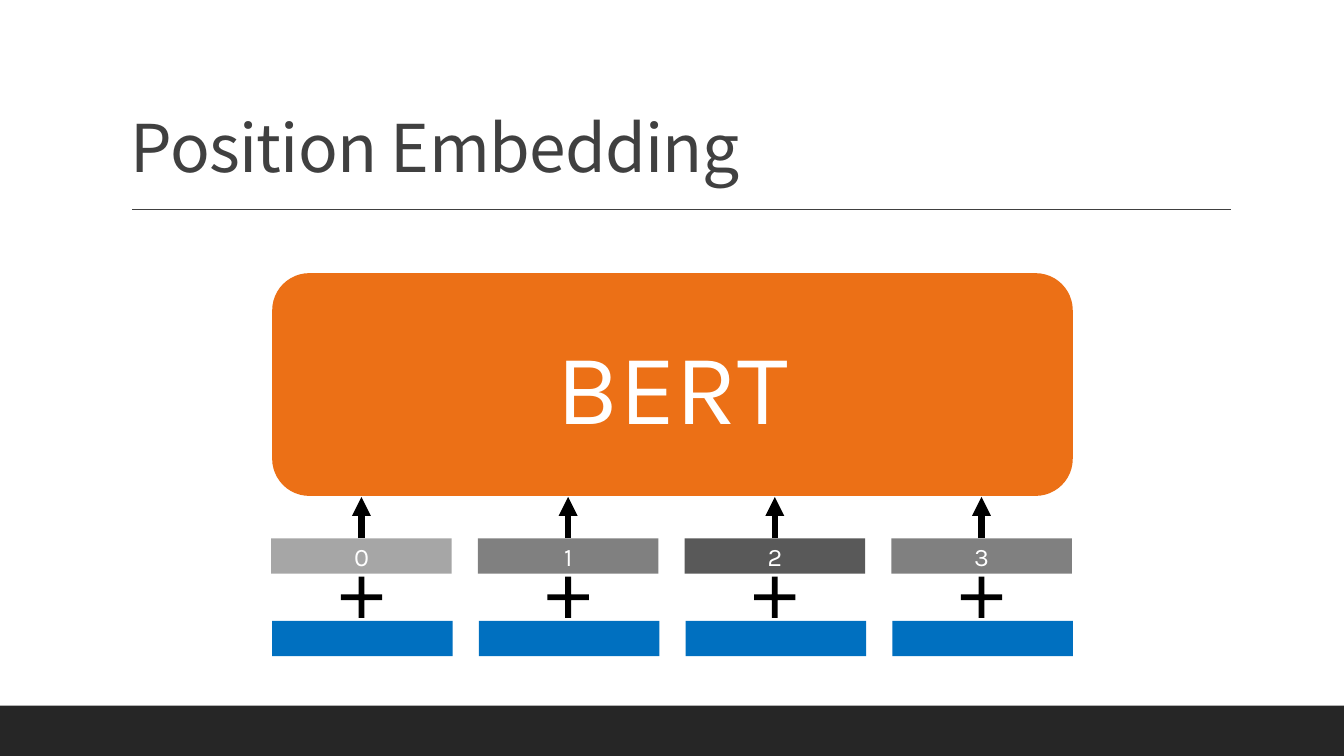
"""Build the Position Embedding slide."""
import dataclasses
import typing

import lxml.etree
import pptx
import pptx.dml.color
import pptx.enum.shapes
import pptx.enum.text
import pptx.oxml.ns
import pptx.util

Inches = pptx.util.Inches
SHAPES = pptx.enum.shapes.MSO_SHAPE
ANCHORS = pptx.enum.text.MSO_ANCHOR
ALIGNMENTS = pptx.enum.text.PP_ALIGN
TITLE_FONT = "Noto Sans CJK JP"
LABEL_FONT = "Karla"
WHITE, BLACK, TITLE_GRAY = "FFFFFF", "000000", "404040"
POSITION_FILLS = ("A6A6A6", "808080", "595959", "808080")
FIRST_LEFT, COLUMN_STEP = 2.69, 2.05
EMBEDDING_WIDTH, EMBEDDING_HEIGHT = 1.79, 0.35
POSITION_TOP, TOKEN_TOP = 5.34, 6.16
PLUS_SIZE, PLUS_TOP = 0.41, 5.72
ARROW_TIP = 4.93


@dataclasses.dataclass(frozen=True)
class Block:
    """A filled shape with an optional centred label."""
    left: float
    top: float
    width: float
    height: float
    fill: str
    kind: SHAPES = SHAPES.RECTANGLE
    label: str = ""
    size: float = 18
    adjustment: typing.Optional[float] = None


def color(value: str) -> pptx.dml.color.RGBColor:
    """Turn a hex string into a colour."""
    return pptx.dml.color.RGBColor.from_string(value)


def write_text(shape, text: str, frame_format: dict, paragraph_format: dict,
               font_format: dict, font_color: str):
    """Write one formatted paragraph and return its run."""
    frame = shape.text_frame
    paragraph = frame.paragraphs[0]
    run = paragraph.add_run()
    run.text = text
    for target, values in ((frame, frame_format), (paragraph, paragraph_format),
                           (run.font, font_format)):
        for name, value in values.items():
            setattr(target, name, value)
    run.font.color.rgb = color(font_color)
    return run


def draw_block(slide, block: Block):
    """Draw a block and return its shape."""
    shape = slide.shapes.add_shape(
        block.kind, Inches(block.left), Inches(block.top),
        Inches(block.width), Inches(block.height))
    shape.shadow.inherit = False
    shape.fill.solid()
    shape.fill.fore_color.rgb = color(block.fill)
    shape.line.fill.background()
    if block.adjustment is not None:
        shape.adjustments[0] = block.adjustment
    if block.label:
        write_text(shape, block.label,
                   {"vertical_anchor": ANCHORS.MIDDLE, "word_wrap": True},
                   {"alignment": ALIGNMENTS.CENTER},
                   {"name": LABEL_FONT, "size": pptx.util.Pt(block.size)}, WHITE)
    return shape


def draw_line(slide, start: tuple[float, float], end: tuple[float, float],
              line_color: str, width: float, arrow: bool = False):
    """Draw a straight line, optionally with an arrowhead at its end."""
    connector = slide.shapes.add_connector(
        pptx.enum.shapes.MSO_CONNECTOR.STRAIGHT,
        *(Inches(value) for value in start + end))
    connector.line.color.rgb = color(line_color)
    connector.line.width = pptx.util.Pt(width)
    if arrow:
        lxml.etree.SubElement(connector.line._get_or_add_ln(),
                              pptx.oxml.ns.qn("a:tailEnd"), type="triangle")
    lxml.etree.SubElement(connector._element.spPr, pptx.oxml.ns.qn("a:effectLst"))
    return connector


def draw_title(slide) -> None:
    """Draw the title above its rule."""
    title = slide.shapes.add_textbox(Inches(1.2), Inches(0.31), Inches(11), Inches(1.59))
    run = write_text(title, "Position Embedding",
                     {"vertical_anchor": ANCHORS.BOTTOM, "word_wrap": True},
                     {"line_spacing": 0.9},
                     {"name": TITLE_FONT, "size": pptx.util.Pt(47)}, TITLE_GRAY)
    properties = run.font._element
    properties.set("spc", "-50")
    lxml.etree.SubElement(properties, pptx.oxml.ns.qn("a:ea"), typeface=TITLE_FONT)
    draw_line(slide, (1.31, 2.08), (12.21, 2.08), TITLE_GRAY, 1)


def draw_column(slide, index: int, fill: str) -> None:
    """Draw one position embedding added to its token embedding."""
    left = FIRST_LEFT + index * COLUMN_STEP
    center = left + EMBEDDING_WIDTH / 2
    position = draw_block(slide, Block(left, POSITION_TOP, EMBEDDING_WIDTH,
                                       EMBEDDING_HEIGHT, fill, label=str(index)))
    draw_block(slide, Block(left + 0.01, TOKEN_TOP, EMBEDDING_WIDTH,
                            EMBEDDING_HEIGHT, "0070C0"))
    draw_block(slide, Block(center - PLUS_SIZE / 2, PLUS_TOP, PLUS_SIZE, PLUS_SIZE,
                            BLACK, SHAPES.CROSS, adjustment=0.43))
    arrow = draw_line(slide, (center, POSITION_TOP), (center, ARROW_TIP),
                      BLACK, 4.5, arrow=True)
    arrow.begin_connect(position, 0)


def main() -> None:
    """Build and save the presentation."""
    presentation = pptx.Presentation()
    presentation.slide_width = Inches(13.33)
    presentation.slide_height = Inches(7.5)
    slide = presentation.slides.add_slide(presentation.slide_layouts[6])
    draw_block(slide, Block(0, 7, 13.33, 0.5, "262626"))
    draw_title(slide)
    draw_block(slide, Block(2.7, 2.71, 7.94, 2.21, "EC7016",
                            SHAPES.ROUNDED_RECTANGLE, "BERT", 72))
    for index, fill in enumerate(POSITION_FILLS):
        draw_column(slide, index, fill)
    presentation.save("out.pptx")


if __name__ == "__main__":
    main()
